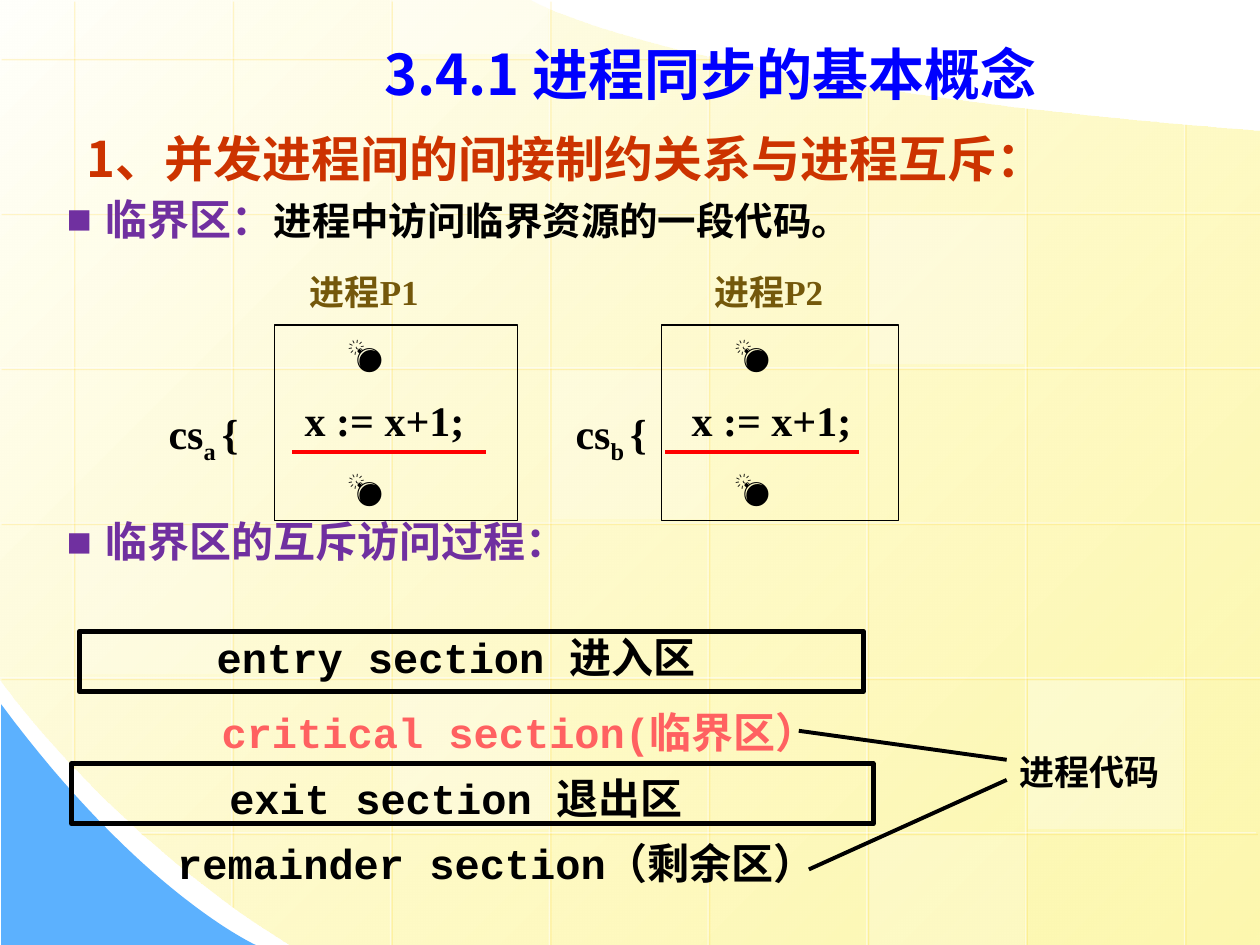
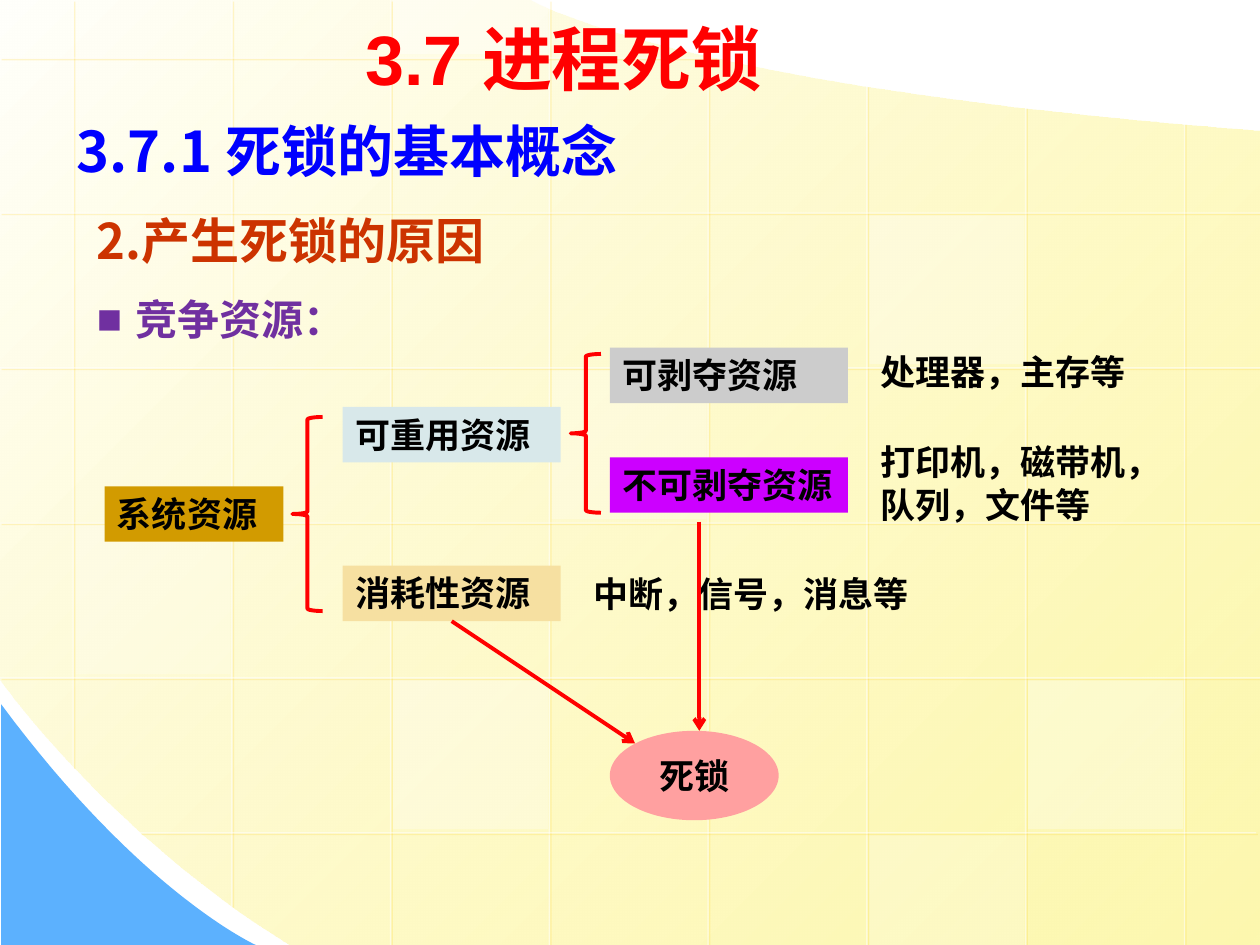
from lxml import etree
from pptx import Presentation
from pptx.dml.color import RGBColor
from pptx.enum.shapes import MSO_CONNECTOR, MSO_SHAPE, PP_PLACEHOLDER
from pptx.enum.text import MSO_ANCHOR, MSO_AUTO_SIZE, PP_ALIGN
from pptx.oxml import parse_xml
from pptx.oxml.ns import nsdecls, qn
from pptx.util import Inches, Pt


class Theme:
    white, black, red = "FFFFFF", "000000", "FF0000"
    blue, rust, purple, brown, coral = "0000FF", "CC3300", "7030A0", "74580B", "FF6161"
    paper, cream, corner, glow = "FFFFFB", "FDF58D", "5CB1FE", "FFCC00"
    gold, mist, sand, violet, gray, pink = "D29B00", "D8E8EA", "F6E0A1", "CC00FF", "CCCCCC", "FFA0A0"
    sans, arial, serif, mono = "Noto Sans CJK SC", "Arial", "Times New Roman", "Courier New"
    chapter, section, heading, body, detail, label = 40, 32, 28, 24, 22, 20
    thin, medium, thick = 0.75, 2.25, 2.88


presentation = Presentation()
presentation.slide_width, presentation.slide_height = Inches(10), Inches(7.5)
# The slide is a grid of 10 columns by 7.5 rows, all cells square
cell = presentation.slide_width // 10


def add_box(slide, at, text="", size=Theme.label, color=Theme.black, font=Theme.arial,
            kind="text", fill=None, border=None, width=Theme.thin, anchor=MSO_ANCHOR.TOP,
            align=PP_ALIGN.LEFT, spacing=None, indents=(), bullet=False, inset=None):
    """Place a title, text box or preset shape on the grid and write its text."""
    place = [int(value * cell) for value in at]
    if kind == "title":
        shape = slide.shapes.title
        shape.left, shape.top, shape.width, shape.height = place
    elif kind == "text":
        shape = slide.shapes.add_textbox(*place)
    else:
        shape = slide.shapes.add_shape(kind, *place)
        shape.shadow.inherit = False
        if fill:
            shape.fill.solid()
            shape.fill.fore_color.rgb = RGBColor.from_string(fill)
        else:
            shape.fill.background()
        if border:
            shape.line.color.rgb = RGBColor.from_string(border)
            shape.line.width = Pt(width)
        else:
            shape.line.fill.background()
    if not text:
        return shape
    frame = shape.text_frame
    frame.word_wrap, frame.auto_size, frame.vertical_anchor = True, MSO_AUTO_SIZE.NONE, anchor
    if inset is not None:
        frame.margin_left = frame.margin_right = frame.margin_top = frame.margin_bottom = inset
    frame.text = text
    for paragraph in frame.paragraphs:
        paragraph.alignment = align
        paragraph.font.name, paragraph.font.size, paragraph.font.bold = font, Pt(size), True
        paragraph.font.color.rgb = RGBColor.from_string(color)
        if spacing:
            paragraph.line_spacing = spacing
    # East Asian font, indents and bullets
    for latin in list(shape.element.iter(qn("a:latin"))):
        latin.addnext(parse_xml(f'<a:ea {nsdecls("a")} typeface="{Theme.sans}"/>'))
    for properties, indent in zip(shape.element.iter(qn("a:pPr")), indents):
        properties.set("marL", str(int(indent * cell)))
        properties.set("indent", "0")
    if bullet:
        properties = next(shape.element.iter(qn("a:pPr")))
        properties.set("marL", str(int(0.31 * cell)))
        properties.set("indent", str(int(-0.31 * cell)))
        default = properties.find(qn("a:defRPr"))
        for mark in (f'<a:buClr {nsdecls("a")}><a:srgbClr val="{color}"/></a:buClr>',
                     f'<a:buFont {nsdecls("a")} typeface="{Theme.arial}"/>',
                     f'<a:buChar {nsdecls("a")} char="■"/>'):
            default.addprevious(parse_xml(mark))
    return shape


def add_line(slide, start, end, color, width=Theme.medium, effect="", arrow=False):
    """Draw a straight connector between two grid points."""
    ends = [int(value * cell) for value in (*start, *end)]
    connector = slide.shapes.add_connector(MSO_CONNECTOR.STRAIGHT, *ends)
    connector.line.color.rgb = RGBColor.from_string(color)
    connector.line.width = Pt(width)
    properties = connector.element.find(qn("p:spPr"))
    if arrow:
        etree.SubElement(properties.find(qn("a:ln")), qn("a:tailEnd"), type="arrow")
    properties.append(parse_xml(f'<a:effectLst {nsdecls("a")}>{effect}</a:effectLst>'))
    return connector


layout = presentation.slide_layouts.get_by_name("Title Only")
for placeholder in list(layout.placeholders):
    if placeholder.placeholder_format.type != PP_PLACEHOLDER.TITLE:
        placeholder.element.getparent().remove(placeholder.element)
sync_slide = presentation.slides.add_slide(layout)
deadlock_slide = presentation.slides.add_slide(layout)

# Backdrop: yellow sheet and blue corner; six numbers are a curve, two a straight line
translucent = []
outlines = (
    ((10, 1.04), ((10, 7.5), (2.3, 7.5), (0.86, 6.61, 0, 5.39, 0, 5.39), (0, 0), (4.21, 0),
                  (4.21, 0.01, 5.37, 0.69, 10, 1.04))),
    ((0.01, 5.59), ((0.01, 7.5), (2.03, 7.5), (2.03, 7.5, 1.12, 7.09, 0.01, 5.59))),
)
steps = 32
backdrop = []
for start, segments in outlines:
    points = [start]
    for segment in segments:
        if len(segment) == 2:
            points.append(segment)
            continue
        knots = [points[-1], segment[:2], segment[2:4], segment[4:]]
        for step in range(1, steps + 1):
            t = step / steps
            weights = ((1 - t) ** 3, 3 * t * (1 - t) ** 2, 3 * t * t * (1 - t), t ** 3)
            points.append(tuple(sum(weight * knot[axis] for weight, knot in zip(weights, knots))
                                for axis in (0, 1)))
    corners = [(int(x * cell), int(y * cell)) for x, y in points]
    builder = sync_slide.shapes.build_freeform(*corners[0])
    builder.add_line_segments(corners[1:])
    outline = builder.convert_to_shape()
    outline.shadow.inherit = False
    outline.line.fill.background()
    backdrop.append(outline)
sheet, corner = backdrop
sheet.fill.gradient()
sheet.fill.gradient_angle = 315
for stop, color in zip(sheet.fill.gradient_stops, (Theme.paper, Theme.cream)):
    stop.color.rgb = RGBColor.from_string(color)
translucent.append((sheet, 70))
corner.fill.solid()
corner.fill.fore_color.rgb = RGBColor.from_string(Theme.corner)

# Backdrop: grid lines with a soft yellow shadow
pitch_x, pitch_y, first_x, first_y = 1.26, 1.23, 0.58, 0.46
line_glow = (f'<a:outerShdw dist="{Pt(1.4)}" dir="2700000"><a:srgbClr val="{Theme.glow}">'
             '<a:alpha val="34000"/></a:srgbClr></a:outerShdw>')
columns = ((0, 6.09), (0, 7.19), (0, 7.5), (0, 7.5), (0.43, 7.5), (0.68, 7.5), (0.85, 7.5), (0.98, 7.5))
rows = ((0, 5.68), (0, 10), (0, 10), (0, 10), (0, 10), (1.11, 9.97))
grid_lines = [((first_x + pitch_x * index, top), (first_x + pitch_x * index, bottom))
              for index, (top, bottom) in enumerate(columns)]
grid_lines += [((right, first_y + pitch_y * index), (left, first_y + pitch_y * index))
               for index, (left, right) in enumerate(rows)]
for start, end in grid_lines:
    translucent.append((add_line(sync_slide, start, end, Theme.white, Theme.thin, line_glow), 50))

# Backdrop: pale tiles as column, row, height and opacity
for column, row, height, opacity in ((3, 2, 1.18, 25), (6, 4, 1.18, 30), (0, 3, 1.18, 20),
                                     (5, 5, 0.87, 20), (2, -1, 1.18, 40), (2, 4, 1.18, 30),
                                     (5, 1, 1.18, 30)):
    top = first_y + pitch_y * row + 0.02
    visible_top = max(top, 0)
    at = (first_x + pitch_x * column + 0.02, visible_top, 1.23, height - (visible_top - top))
    translucent.append((add_box(sync_slide, at, kind=MSO_SHAPE.RECTANGLE, fill=Theme.white), opacity))
for shape, opacity in translucent:
    color_element = [*shape.element.find(qn("p:spPr")).iter(qn("a:srgbClr"))][0 if shape in backdrop[1:] else -1]
    if shape.element.tag == qn("p:cxnSp"):
        color_element = next(shape.element.iter(qn("a:srgbClr")))
    etree.SubElement(color_element, qn("a:alpha"), val=str(opacity * 1000))

# Both slides take the backdrop from their layout
layout_tree = layout.shapes.element
for index, shape in enumerate([item for item in sync_slide.shapes if not item.is_placeholder]):
    layout_tree.insert(2 + index, shape.element)

# Slide 1: title and headings
slide = sync_slide
add_box(slide, (2.56, 0.16, 6.14, 0.68), "3.4.1 进程同步的基本概念", Theme.section, Theme.blue, Theme.sans,
        kind="title", anchor=MSO_ANCHOR.MIDDLE, spacing=1.3, indents=[0.39])
add_box(slide, (0.2, 0.83, 8.9, 0.71), "1、并发进程间的间接制约关系与进程互斥：", Theme.heading, Theme.rust,
        Theme.sans, spacing=1.3, indents=[0.39])
definition = add_box(slide, (0.43, 1.53, 7.72, 0.56), "临界区：", Theme.body, Theme.purple, Theme.sans,
                     spacing=0.9, bullet=True)
run = definition.text_frame.paragraphs[0].add_run()
run.text = "进程中访问临界资源的一段代码。"
run.font.size = Pt(Theme.detail)
run.font.color.rgb = RGBColor.from_string(Theme.black)
add_box(slide, (0.43, 4.09, 7.72, 0.56), "临界区的互斥访问过程：", Theme.body, Theme.purple, Theme.sans,
        spacing=0.9, bullet=True)

# Slide 1: two processes with their critical sections
for name, letter, name_left, panel_left, panel_width, mark_left, underline_left in (
        ("进程P1", "a", 2.36, 2.18, 1.93, 1.24, 2.32),
        ("进程P2", "b", 5.57, 5.25, 1.88, 4.47, 5.28)):
    add_box(slide, (name_left, 2.1, 1.6, 0.44), name, Theme.label, Theme.brown, Theme.serif)
    panel = add_box(slide, (panel_left, 2.58, panel_width, 1.55), "💣\nx := x+1;\n💣", Theme.label,
                    font=Theme.serif, kind=MSO_SHAPE.RECTANGLE, border=Theme.black, indents=[0.48, 0.14, 0.48])
    first, code, last = panel.text_frame.paragraphs
    code.font.size = Pt(Theme.body)
    code.space_before = last.space_before = Pt(12)
    mark = add_box(slide, (mark_left, 3.05, 1, 0.63), "cs", Theme.body, font=Theme.serif, spacing=1.3)
    for part in (f"{letter} ", "{"):
        run = mark.text_frame.paragraphs[0].add_run()
        run.text = part
        run.font.bold = True
    subscript, brace = list(mark.element.iter(qn("a:rPr")))[-2:]
    subscript.set("baseline", "-25000")
    add_line(slide, (underline_left, 3.59), (underline_left + 1.54, 3.59), Theme.red)

# Slide 1: sections of the access protocol
for at, text, color in (
        ((1.18, 5.01, 4.88, 0.4), "entry section 进入区", Theme.black),
        ((0.92, 5.61, 6.41, 0.4), "critical section(临界区）", Theme.coral),
        ((1.02, 6.13, 5.2, 0.4), "exit section 退出区", Theme.black),
        ((0.95, 6.65, 5.98, 0.4), "remainder section（剩余区）", Theme.black)):
    add_box(slide, at, text, Theme.body, color, Theme.mono, align=PP_ALIGN.CENTER, inset=0)
for at in ((0.63, 5.01, 6.22, 0.48), (0.57, 6.06, 6.36, 0.48)):
    add_box(slide, at, kind=MSO_SHAPE.RECTANGLE, border=Theme.black, width=Theme.thick)
add_line(slide, (6.34, 5.8), (7.99, 6.03), Theme.black)
add_line(slide, (6.42, 6.9), (7.99, 6.19), Theme.black)
add_box(slide, (7.99, 5.91, 1.42, 0.44), "进程代码")

# Slide 2: title and headings
slide = deadlock_slide
add_box(slide, (2.8, 0.08, 3.86, 0.76), "3.7 进程死锁", Theme.chapter, Theme.red, kind="title",
        anchor=MSO_ANCHOR.MIDDLE)
add_box(slide, (0.51, 0.84, 5.04, 0.71), "3.7.1 死锁的基本概念", Theme.section, Theme.blue, Theme.sans,
        anchor=MSO_ANCHOR.MIDDLE)
add_box(slide, (0.67, 1.55, 3.94, 0.71), "2.产生死锁的原因", Theme.heading, Theme.rust, Theme.sans,
        anchor=MSO_ANCHOR.MIDDLE)
add_box(slide, (0.67, 2.18, 4.17, 0.71), "竞争资源：", Theme.body, Theme.purple, spacing=1.25, bullet=True)

# Slide 2: resource tree
resources = {}
for text, left, top, width, fill in (
        ("系统资源", 0.83, 3.86, 1.42, Theme.gold),
        ("可重用资源", 2.72, 3.23, 1.73, Theme.mist),
        ("消耗性资源", 2.72, 4.49, 1.73, Theme.sand),
        ("可剥夺资源", 4.84, 2.76, 1.89, Theme.gray),
        ("不可剥夺资源", 4.84, 3.63, 1.89, Theme.violet)):
    resources[text] = add_box(slide, (left, top, width, 0.44), text, kind=MSO_SHAPE.RECTANGLE, fill=fill)
for at in ((2.32, 3.31, 0.24, 1.54), (4.53, 2.81, 0.24, 1.26)):
    add_box(slide, at, kind=MSO_SHAPE.LEFT_BRACE, border=Theme.red, width=Theme.medium)
for at, text in (((6.89, 2.73, 2.68, 0.44), "处理器，主存等"),
                 ((6.89, 3.44, 2.68, 0.77), "打印机，磁带机，队列，文件等"),
                 ((4.61, 4.49, 2.99, 0.44), "中断，信号，消息等")):
    add_box(slide, at, text, spacing=Pt(24.5))

# Slide 2: paths to deadlock
add_box(slide, (4.84, 5.8, 1.34, 0.71), "死锁", kind=MSO_SHAPE.OVAL, fill=Theme.pink,
        anchor=MSO_ANCHOR.MIDDLE, align=PP_ALIGN.CENTER)
add_line(slide, (5.55, 4.14), (5.55, 5.8), Theme.red, arrow=True)
consumable_path = add_line(slide, (3.58, 4.93), (5.04, 5.9), Theme.red, arrow=True)
consumable_path.begin_connect(resources["消耗性资源"], 2)

presentation.save("out.pptx")
